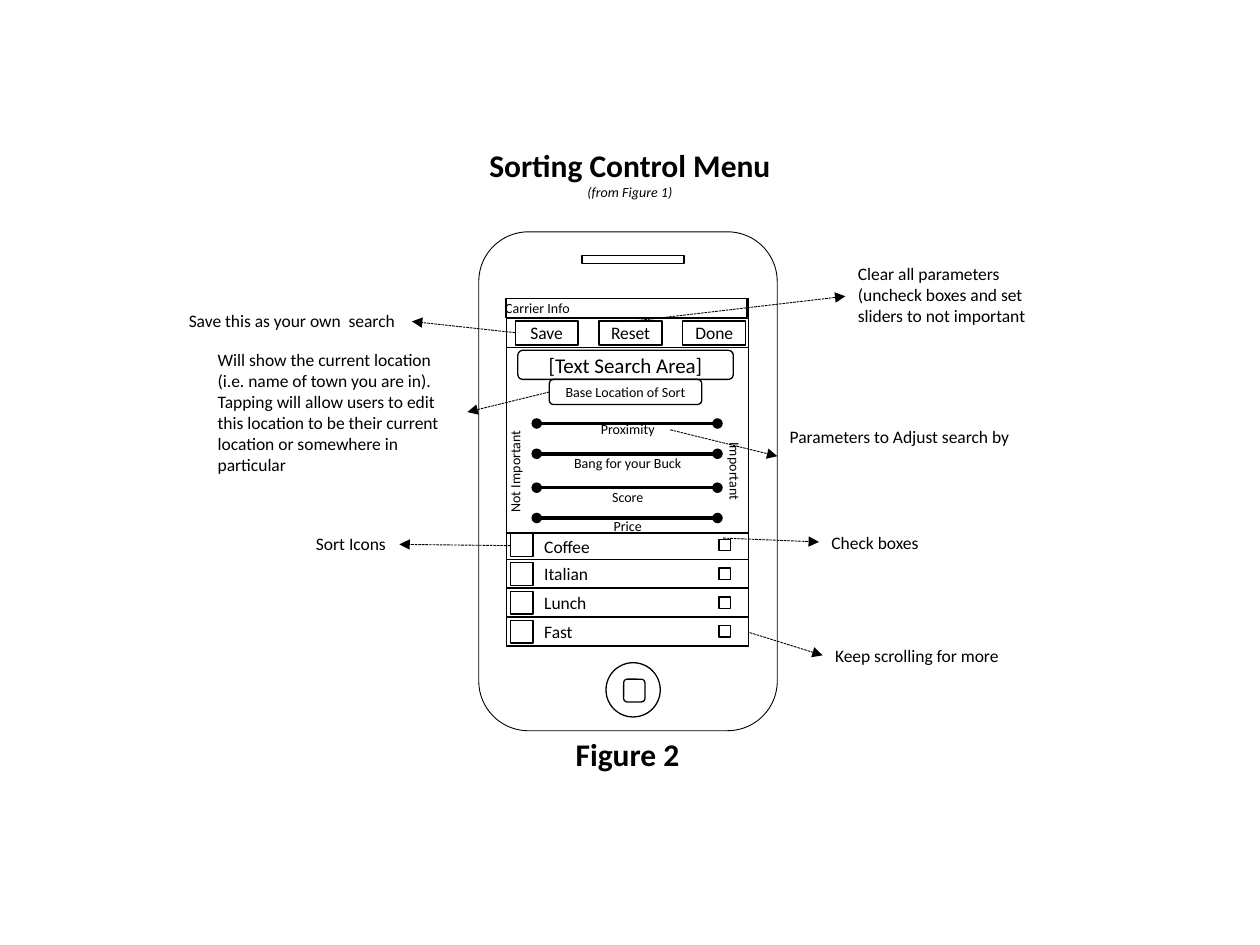
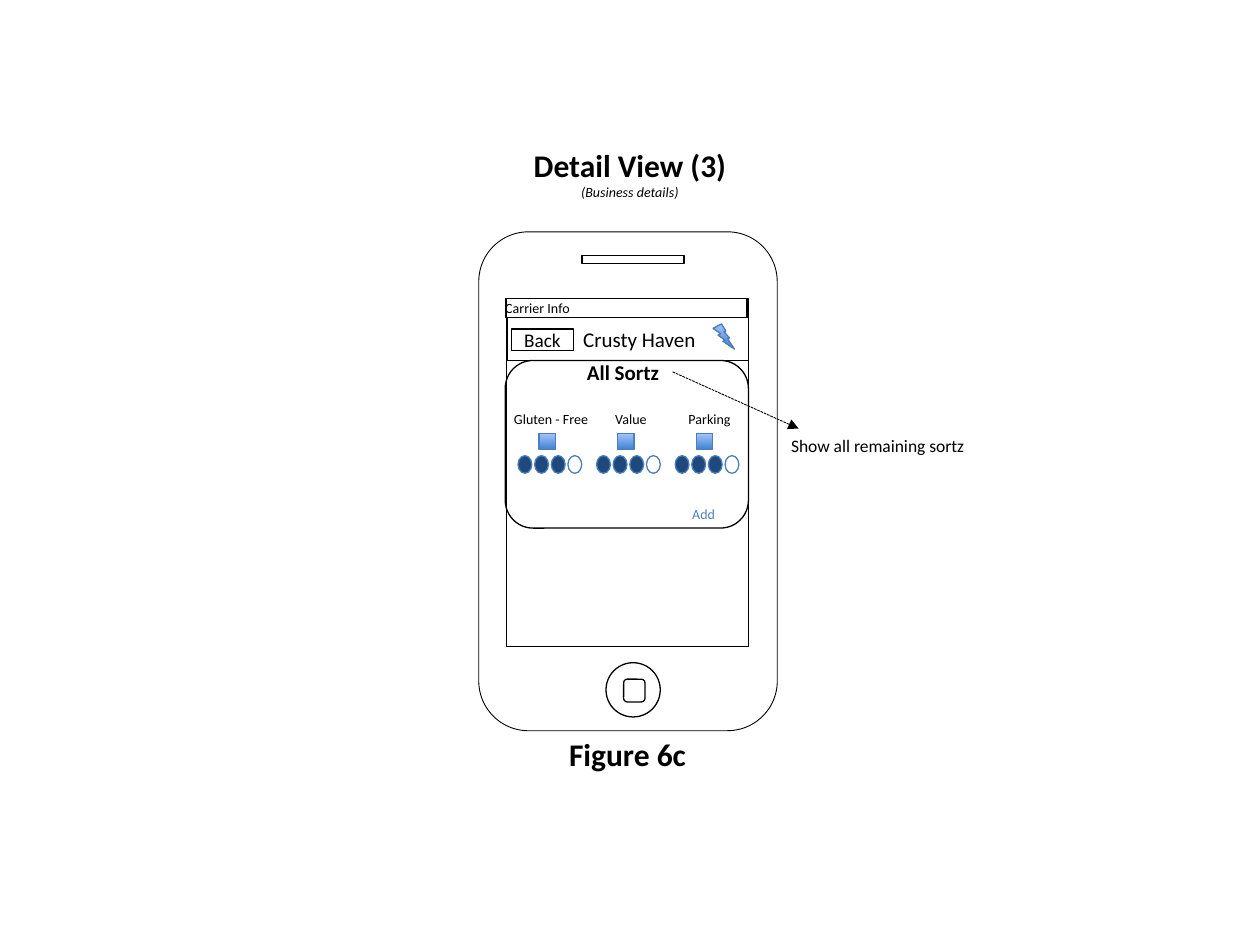
from dataclasses import dataclass
from itertools import accumulate

from lxml import etree
from pptx import Presentation
from pptx import util as u
from pptx.dml.color import RGBColor
from pptx.enum import dml, shapes, text
from pptx.oxml.ns import qn

KIND = shapes.MSO_SHAPE
LEFT, CENTER, RIGHT = (text.PP_ALIGN.LEFT, text.PP_ALIGN.CENTER,
                       text.PP_ALIGN.RIGHT)


@dataclass(frozen=True)
class Theme:
    font: str = "Calibri"
    ink: str = "000000"
    paper: str = "FFFFFF"
    accent: str = "4F81BD"
    accent_line: str = "4B7EBC"
    dot: str = "1F497D"
    gradient: tuple = ("3F80CE", "A4C4FF")
    title: float = 18
    heading: float = 12
    button: float = 11
    body: float = 10
    small: float = 8
    thin: float = 0.5
    outline: float = 0.75
    thick: float = 2


@dataclass(frozen=True)
class Box:
    left: float
    top: float
    width: float
    height: float

    def inside(self, left, top, width, height):
        """Return a box whose corner is measured from this box's corner."""
        return Box(self.left + left, self.top + top, width, height)

    def points(self):
        return [u.Pt(n) for n in (self.left, self.top, self.width, self.height)]


THEME = Theme()
PAGE_SIZE = (720, 540)
PHONE = Box(273.6, 132.5, 170.6, 285.1)
SCREEN = PHONE.inside(15.8, 38.2, 138.2, 198.7)
FLUSH = {"margin_left": 0, "margin_right": 0}
ROW_INSET = {"margin_left": u.Pt(21.6), "margin_right": 0}


def apply(target, values):
    for name, value in values.items():
        setattr(target, name, value)


def write(frame, lines, align=LEFT, color=THEME.ink, **frame_values):
    """Fill a frame with (words, size, font values) lines."""
    apply(frame, {"word_wrap": True, **frame_values})
    for index, (words, size, values) in enumerate(lines):
        para = frame.add_paragraph() if index else frame.paragraphs[0]
        para.alignment = align
        span = para.add_run()
        span.text = words
        apply(span.font, {"name": THEME.font, "size": u.Pt(size), **values})
        span.font.color.rgb = RGBColor.from_string(color)


def add_label(parent, box, words, size=THEME.body, align=LEFT, bold=False,
              rotation=0, color=THEME.ink, **frame_values):
    label = parent.add_textbox(*box.points())
    label.rotation = rotation
    write(label.text_frame, [(words, size, {"bold": bold})], align, color,
          **frame_values)


def add_outline(parent, kind, box, line=THEME.ink, width=THEME.outline,
                fill=None):
    """Add a preset shape; fill is None, a colour or a pair of colours."""
    shape = parent.add_shape(kind, *box.points())
    shape.shadow.inherit = False
    shape.line.color.rgb = RGBColor.from_string(line)
    shape.line.width = u.Pt(width)
    if fill is None:
        shape.fill.background()
    elif isinstance(fill, str):
        shape.fill.solid()
        shape.fill.fore_color.rgb = RGBColor.from_string(fill)
    else:
        shape.fill.gradient()
        shape.fill.gradient_angle = 90
        for stop, color in zip(shape.fill.gradient_stops, fill):
            stop.color.rgb = RGBColor.from_string(color)
    return shape


def add_field(parent, kind, box, words, size=THEME.body, align=CENTER,
              margins=FLUSH):
    field = add_outline(parent, kind, box)
    write(field.text_frame, [(words, size, {})], align,
          vertical_anchor=text.MSO_ANCHOR.MIDDLE, **margins)


def add_line(parent, box, start, end, width, ends, dash=None):
    """Join two points measured from the box; ends maps end tags to arrowheads."""
    line = parent.add_connector(
        shapes.MSO_CONNECTOR.STRAIGHT,
        u.Pt(box.left + start[0]), u.Pt(box.top + start[1]),
        u.Pt(box.left + end[0]), u.Pt(box.top + end[1]))
    line.line.color.rgb = RGBColor.from_string(THEME.ink)
    apply(line.line, {"width": u.Pt(width), "dash_style": dash})
    for tag, head in ends.items():
        etree.SubElement(line.line._get_or_add_ln(), qn(tag), type=head)
    etree.SubElement(line._element.spPr, qn("a:effectLst"))


def add_callout(parent, box, words, area, start, end, align=LEFT):
    add_line(parent, box, start, end, THEME.thin, {"a:tailEnd": "triangle"},
             dml.MSO_LINE.SQUARE_DOT)
    single_line = area[3] < 2 * THEME.body
    add_label(parent, box.inside(*area), words, align=align,
              word_wrap=not single_line)


def add_captions(parent, box, title, subtitle, figure):
    heading = parent.add_textbox(*box.inside(-46.8, -52.6, 266.4, 38.9).points())
    write(heading.text_frame, [(title, THEME.title, {"bold": True}),
                               (subtitle, THEME.small, {"italic": True})], CENTER)
    add_label(parent, box.inside(-48.2, 283.7, 266.4, 43.9), figure,
              THEME.title, CENTER, bold=True)


def add_phone(parent, box, screen):
    add_outline(parent, KIND.RECTANGLE, screen)
    add_outline(parent, KIND.ROUNDED_RECTANGLE, box, width=THEME.thin)
    for kind, area in (
            (KIND.RECTANGLE, (59, 13.7, 58.3, 4.3)),
            (KIND.OVAL, (72.7, 246.2, 31, 31)),
            (KIND.ROUNDED_RECTANGLE, (82.8, 255.6, 12.2, 13))):
        add_outline(parent, kind, box.inside(*area))
    add_field(parent, KIND.RECTANGLE, screen.inside(-0.7, 0, 138.2, 10.8),
              "Carrier Info", THEME.small, LEFT)


def add_toolbar(parent, box):
    add_outline(parent, KIND.RECTANGLE, box)
    for index, words in enumerate(("Save", "Reset", "Done")):
        add_field(parent, KIND.RECTANGLE,
                  box.inside(5 + 47.9 * index, 1.2, 36, 13.7), words)


def add_search_fields(parent, box):
    add_field(parent, KIND.ROUNDED_RECTANGLE, box.inside(6.5, 0, 123.1, 16.6),
              "[Text Search Area]", THEME.heading, margins={})
    add_field(parent, KIND.ROUNDED_RECTANGLE, box.inside(24.5, 16.6, 87.1, 14.4),
              "Base Location of Sort", THEME.small)


def add_sliders(parent, box):
    for words, height, label_top in (
            ("Proximity", 5.1, 0), ("Bang for your Buck", 22.4, 19.5),
            ("Score", 41.8, 38.9), ("Price", 59.1, 55.5)):
        add_line(parent, box, (17.3, height), (120.6, height), THEME.thick,
                 {"a:headEnd": "oval", "a:tailEnd": "oval"})
        add_label(parent, box.inside(30.9, label_top, 77, 17.3), words,
                  THEME.small, CENTER, word_wrap=False)
    for words, left, width, rotation in (("Not Important", -25.9, 61.9, 270),
                                         ("Important", 106.6, 47.5, 90)):
        add_label(parent, box.inside(left, 23.8, width, 17.3), words,
                  THEME.small, CENTER, rotation=rotation, word_wrap=False)


def add_sort_rows(parent, box):
    heights = (15, 16.5, 16.5, 16.5)
    names = ("Coffee", "Italian", "Lunch", "Fast")
    for words, height, bottom in zip(names, heights, accumulate(heights)):
        add_field(parent, KIND.RECTANGLE,
                  box.inside(0, bottom - height, box.width, height),
                  words, align=LEFT, margins=ROW_INSET)
        for left, rise, side in ((2.2, 14.7, 13), (121.5, 11.5, 6.5)):
            add_outline(parent, KIND.RECTANGLE,
                        box.inside(left, bottom - rise, side, side))


def add_rating(parent, box, words, align, filled=3, total=4):
    """Group a label, an icon and a row of dots for one sort."""
    group = parent.add_group_shape().shapes
    add_label(group, box, words, THEME.small, align, **FLUSH)
    add_outline(group, KIND.RECTANGLE, box.inside(14.4, 16.5, 9.4, 9.4),
                THEME.accent_line, fill=THEME.gradient)
    for index in range(total):
        add_outline(group, KIND.OVAL,
                    box.inside(2.3 + 9.5 * index, 29.2, 7.9, 10.1),
                    THEME.accent_line,
                    fill=THEME.dot if index < filled else THEME.paper)


def add_detail_header(parent, box):
    add_outline(parent, KIND.RECTANGLE, box)
    add_field(parent, KIND.RECTANGLE, box.inside(2.2, 6.5, 35.3, 12.2),
              "Back", THEME.button)
    add_label(parent, box.inside(32.4, 1.4, 85.7, 21.6), "Crusty Haven",
              THEME.heading, CENTER, **FLUSH)
    add_outline(parent, KIND.LIGHTNING_BOLT, box.inside(117.4, 3.6, 12.2, 14.4),
                THEME.accent_line, fill=THEME.gradient)


def add_sortz_panel(parent, box):
    add_outline(parent, KIND.ROUNDED_RECTANGLE, box)
    add_label(parent, box.inside(39.6, -4.3, 56.2, 21.6), "All Sortz",
              THEME.heading, bold=True, word_wrap=False)
    for index, (words, align) in enumerate(
            (("Gluten - Free", LEFT), ("Value", CENTER), ("Parking", CENTER))):
        add_rating(parent, box.inside(5 + 44.9 * index, 25.2, 43.9, 17.3),
                   words, align)
    add_label(parent, box.inside(91.4, 79.2, 43.9, 17.3), "Add", THEME.small,
              CENTER, color=THEME.accent, **FLUSH)


def build_sorting_menu(page, phone, screen):
    parent = page.shapes
    add_phone(parent, phone, screen)
    add_captions(parent, phone, "Sorting Control Menu", "(from Figure 1)",
                 "Figure 2")
    add_toolbar(parent, screen.inside(0, 11.5, screen.width, 16.6))
    add_search_fields(parent, screen.inside(0, 29.5, screen.width, 31))
    add_sliders(parent, screen.inside(0, 66.2, screen.width, 67))
    add_sort_rows(parent, screen.inside(0, 133.9, screen.width, 64.5))
    for callout in (
            ("Save this as your own  search", (-188.6, 2.9, 134.6, 19.4),
             (5, 19.4), (-54, 13)),
            ("Will show the current location (i.e. name of town you are in). "
             "Tapping will allow users to edit this location to be their "
             "current location or somewhere in particular",
             (-172.1, 25.2, 149.8, 79.9), (24.5, 53.3), (-22.3, 64.8)),
            ("Sort Icons", (-115.9, 130.3, 55.4, 19.4),
             (2.2, 141.1), (-61.2, 140.4)),
            ("Clear all parameters (uncheck boxes and set sliders to not "
             "important", (193.7, -23.8, 118.8, 43.9),
             (70.6, 13), (193.7, -1.4)),
            ("Parameters to Adjust search by", (154.8, 69.1, 142.6, 19.4),
             (93.6, 74.9), (154.8, 90)),
            ("Check boxes", (178.6, 129.6, 65.5, 19.4),
             (123.8, 136.8), (178.6, 139)),
            ("Keep scrolling for more", (180.7, 194.4, 110.2, 19.4),
             (139, 190.8), (180.7, 203.8))):
        add_callout(parent, screen, *callout)


def build_detail_view(page, phone, screen):
    parent = page.shapes
    add_phone(parent, phone, screen)
    add_captions(parent, phone, "Detail View (3)", "(Business details)",
                 "Figure 6c")
    add_detail_header(parent, screen.inside(0.7, 10.8, 137.5, 24.5))
    add_sortz_panel(parent, screen.inside(-0.7, 35.3, 139, 95.8))
    add_callout(parent, screen, "Show all remaining sortz",
                (154.8, 74.2, 113.8, 19.4), (95, 41.8), (167, 74.2), RIGHT)


def main():
    deck = Presentation()
    deck.slide_width, deck.slide_height = (u.Pt(n) for n in PAGE_SIZE)
    for build in (build_sorting_menu, build_detail_view):
        build(deck.slides.add_slide(deck.slide_layouts[6]), PHONE, SCREEN)
    deck.save("out.pptx")


if __name__ == "__main__":
    main()
